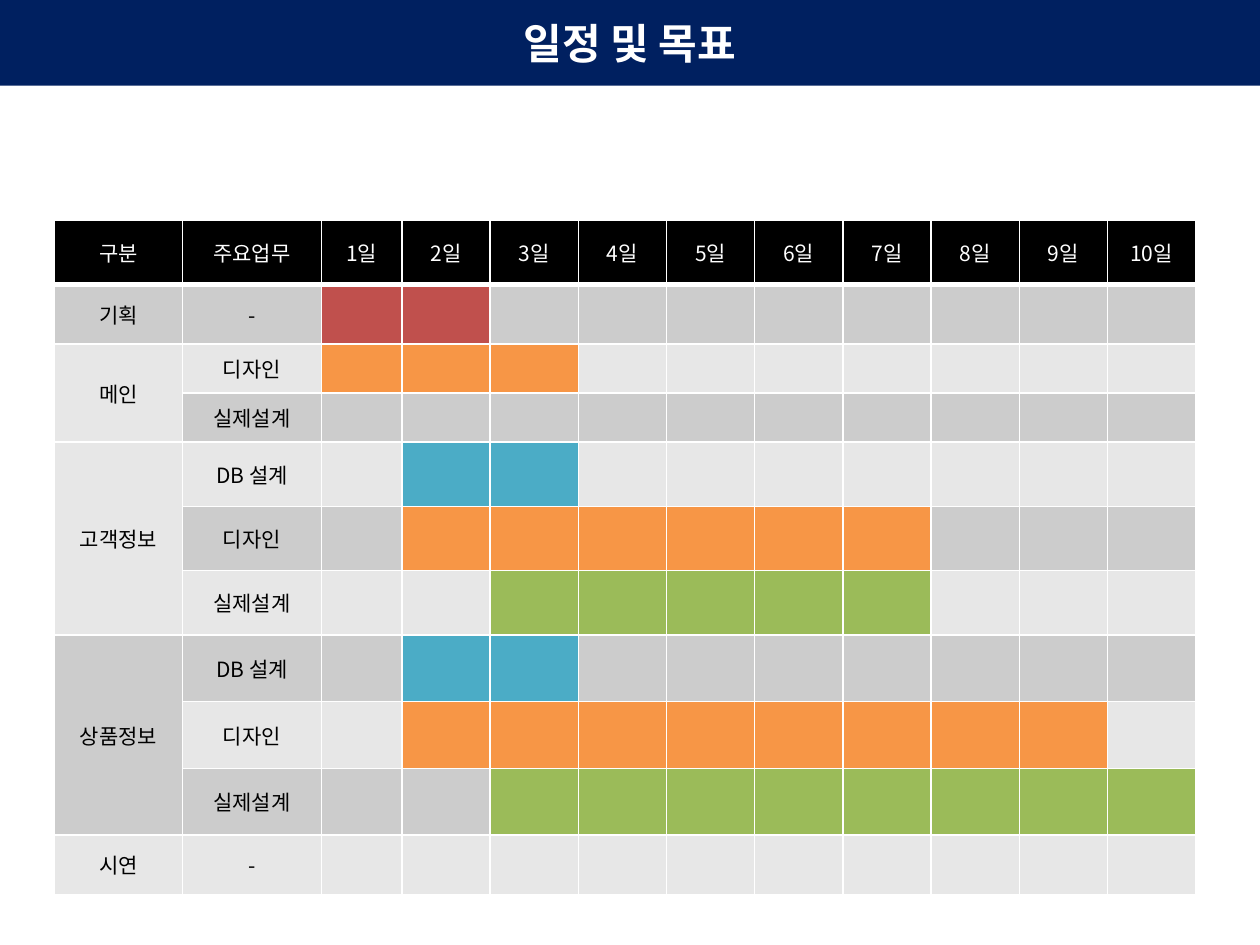
from lxml import etree
from pptx import Presentation
from pptx import util as u
from pptx.dml.color import RGBColor
from pptx.enum import shapes, text
from pptx.oxml.ns import qn

THEME = {
    "font": "Noto Sans CJK KR", "title_size": 24, "cell_size": 12,
    "white": "FFFFFF", "black": "000000", "navy": "002060",
    "bands": ("E7E7E7", "CCCCCC"),
    "plan": "C0504D", "design": "F79646", "db": "4BACC6", "build": "9BBB59",
}
WIDTH, HEIGHT = 10, 7.5


def write(frame, words, size=THEME["cell_size"], color=THEME["black"], bold=False):
    paragraph = frame.paragraphs[0]
    paragraph.alignment = text.PP_ALIGN.CENTER
    if not words:
        # An empty cell keeps the small type size so that its row stays low
        etree.SubElement(paragraph._p, qn("a:endParaRPr"), sz=str(size * 100))
        return
    run = paragraph.add_run()
    run.text = words
    run.font.size, run.font.bold = u.Pt(size), bold
    run.font.name = THEME["font"]
    run.font.color.rgb = RGBColor.from_string(color)
    etree.SubElement(run._r.get_or_add_rPr(), qn("a:ea"), typeface=THEME["font"])


def paint(cell, color, bottom=1):
    properties = cell._tc.get_or_add_tcPr()
    for side, points in (("lnL", 1), ("lnR", 1), ("lnT", 1), ("lnB", bottom)):
        line = etree.SubElement(properties, qn("a:" + side), w=str(u.Pt(points)))
        solid = etree.SubElement(line, qn("a:solidFill"))
        etree.SubElement(solid, qn("a:srgbClr"), val=THEME["white"])
    cell.fill.solid()
    cell.fill.fore_color.rgb = RGBColor.from_string(color)
    cell.vertical_anchor = text.MSO_ANCHOR.MIDDLE


deck = Presentation()
deck.slide_width, deck.slide_height = u.Inches(WIDTH), u.Inches(HEIGHT)
slide = deck.slides.add_slide(deck.slide_layouts[5])

# Title on a full-width band
title = slide.shapes.title
title.left, title.top = 0, u.Inches(0.09)
title.width, title.height = u.Inches(WIDTH), u.Inches(0.5)
title.text_frame.auto_size = text.MSO_AUTO_SIZE.NONE
title.text_frame.vertical_anchor = text.MSO_ANCHOR.MIDDLE
write(title.text_frame, "일정 및 목표", size=THEME["title_size"],
      color=THEME["white"], bold=True)
band = slide.shapes.add_shape(shapes.MSO_SHAPE.RECTANGLE, 0, 0,
                              u.Inches(WIDTH), u.Inches(0.68))
band.shadow.inherit = False
band.fill.solid()
band.fill.fore_color.rgb = RGBColor.from_string(THEME["navy"])
band.line.fill.background()
title._element.addprevious(band._element)

# Each group: name, row height, tasks as (name, kind, first day, last day)
groups = [
    ("기획", 0.47, [("-", "plan", 1, 2)]),
    ("메인", 0.39, [("디자인", "design", 1, 3), ("실제설계", None, 0, 0)]),
    ("고객정보", 0.51, [("DB 설계", "db", 2, 3), ("디자인", "design", 2, 7),
                    ("실제설계", "build", 3, 7)]),
    ("상품정보", 0.53, [("DB 설계", "db", 2, 3), ("디자인", "design", 2, 9),
                    ("실제설계", "build", 3, 10)]),
    ("시연", 0.47, [("-", None, 0, 0)]),
]
days = range(1, 11)
headings = ["구분", "주요업무"] + [f"{day}일" for day in days]
column_widths = [1.02, 1.1, 0.64] + [0.7] * 9
row_heights = [0.51] + [height for _, height, tasks in groups for _ in tasks]

# Schedule table
schedule = slide.shapes.add_table(
    len(row_heights), len(headings), u.Inches(0.43), u.Inches(1.75),
    u.Inches(sum(column_widths)), u.Inches(sum(row_heights))).table
for column, width in zip(schedule.columns, column_widths):
    column.width = u.Inches(width)
for row, height in zip(schedule.rows, row_heights):
    row.height = u.Inches(height)

# Heading row
for column, heading in enumerate(headings):
    cell = schedule.cell(0, column)
    paint(cell, THEME["black"], bottom=3)
    write(cell.text_frame, heading, color=THEME["white"])

# Task rows: banded grey, with the busy days in the colour of the work
row = 1
for group, _, tasks in groups:
    first_row = row
    for task, kind, start, end in tasks:
        shade = THEME["bands"][row % 2]
        labels = [group if row == first_row else "", task] + [""] * len(days)
        for column, label in enumerate(labels):
            cell = schedule.cell(row, column)
            busy = kind and start <= column - 1 <= end and column > 1
            paint(cell, THEME[kind] if busy else shade)
            write(cell.text_frame, label)
        row += 1
    if len(tasks) > 1:
        schedule.cell(first_row, 0).merge(schedule.cell(row - 1, 0))

deck.save("out.pptx")
